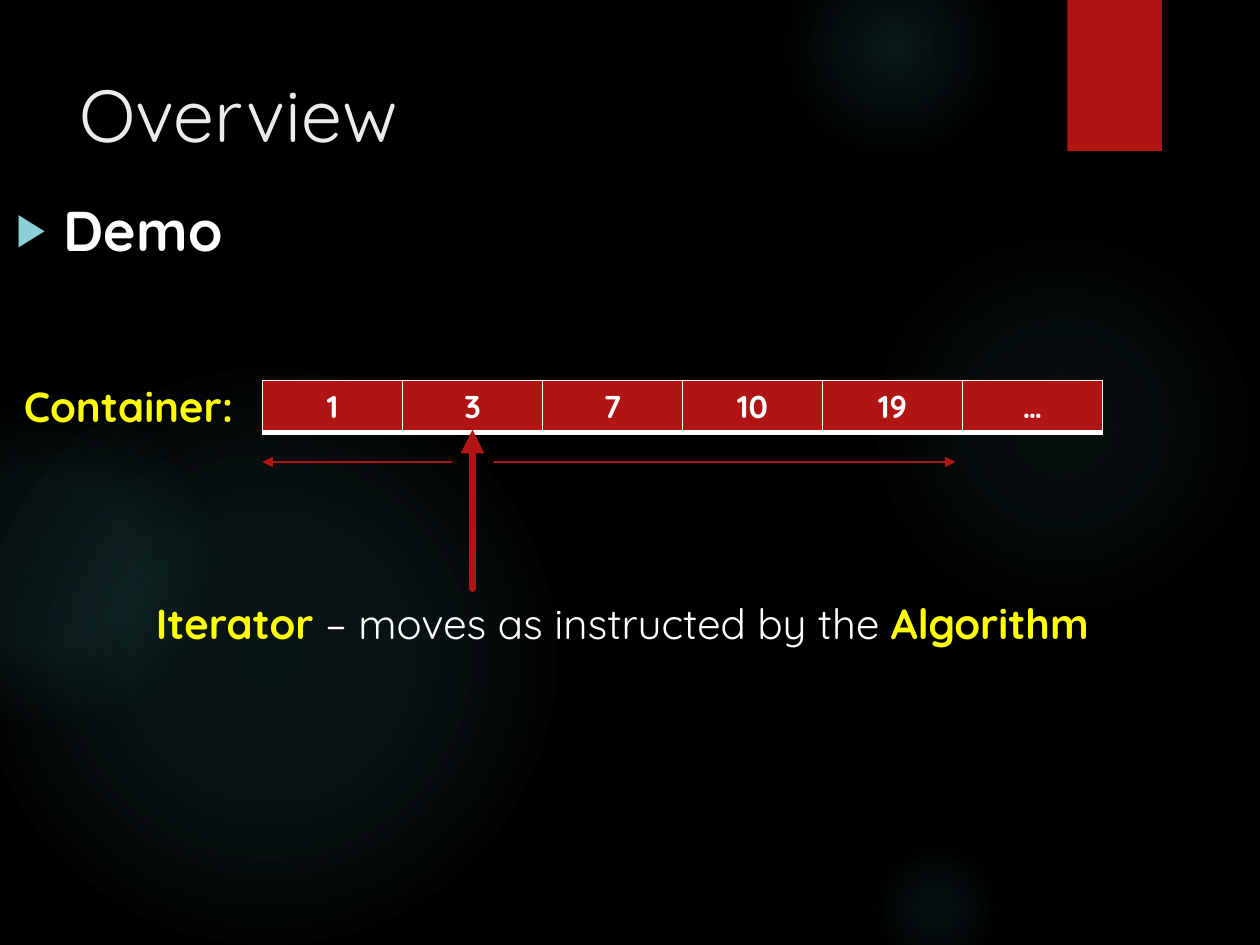
from pptx import Presentation
from pptx.dml.color import RGBColor
from pptx.enum.shapes import MSO_CONNECTOR, MSO_SHAPE
from pptx.enum.text import MSO_ANCHOR, MSO_AUTO_SIZE, PP_ALIGN
from pptx.oxml import parse_xml
from pptx.oxml.ns import nsdecls, qn
from pptx.util import Pt
from lxml.etree import SubElement

FONT = "Quicksand"
BLACK = RGBColor(0x00, 0x00, 0x00)
WHITE = RGBColor(0xFF, 0xFF, 0xFF)
PALE = RGBColor(0xEB, 0xEB, 0xEB)
RED = RGBColor(0xB0, 0x15, 0x13)
YELLOW = RGBColor(0xFF, 0xFF, 0x00)
TEAL = RGBColor(0x50, 0xB9, 0xC1)
BULLET = RGBColor(0x8A, 0xD0, 0xD6)


def style(r, size, color, bold=False):
    r.font.name = FONT
    r.font.size = Pt(size)
    r.font.bold = bold
    r.font.color.rgb = color


def add_label(left, top, width, parts):
    """Add a one-line text box from (text, color, bold) parts."""
    tf = s.shapes.add_textbox(Pt(left), Pt(top), Pt(width), Pt(36)).text_frame
    tf.word_wrap = False
    tf.auto_size = MSO_AUTO_SIZE.SHAPE_TO_FIT_TEXT
    for text, color, bold in parts:
        r = tf.paragraphs[0].add_run()
        r.text = text
        style(r, 24, color, bold)


prs = Presentation()
prs.slide_width, prs.slide_height = Pt(720), Pt(540)
s = prs.slides.add_slide(prs.slide_layouts[1])
s.background.fill.solid()
s.background.fill.fore_color.rgb = BLACK
title, body = s.placeholders

# Glows behind the text: left, top, diameter, (position %, opacity %) stops
glows = [
    (496, 132, 222, [(0, 7), (36, 6), (69, 0)]),
    (448, -36, 126, [(0, 14), (36, 7), (73, 0)]),
    (496, 480, 78, [(0, 9), (36, 5), (66, 0)]),
    (-12, 210, 330, [(0, 11), (36, 10), (75, 0)]),
    (-66, 228, 186, [(0, 8), (36, 8), (72, 0)]),
]
for left, top, size, stops in glows:
    glow = s.shapes.add_shape(MSO_SHAPE.OVAL, Pt(left), Pt(top), Pt(size), Pt(size))
    glow.shadow.inherit = False
    glow.line.fill.background()
    glow.fill.background()
    gs = "".join(
        f'<a:gs pos="{pos * 1000}"><a:srgbClr val="{TEAL}">'
        f'<a:alpha val="{alpha * 1000}"/></a:srgbClr></a:gs>'
        for pos, alpha in stops)
    grad = parse_xml(
        f'<a:gradFill {nsdecls("a")} rotWithShape="1"><a:gsLst>{gs}</a:gsLst>'
        '<a:path path="circle"><a:fillToRect l="50000" t="50000" r="50000" b="50000"/>'
        '</a:path></a:gradFill>')
    spPr = glow.element.spPr
    spPr.replace(spPr.find(qn("a:noFill")), grad)
    title.element.addprevious(glow.element)

ribbon = s.shapes.add_shape(MSO_SHAPE.RECTANGLE, Pt(610), Pt(0), Pt(54), Pt(86.4))
ribbon.shadow.inherit = False
ribbon.line.fill.background()
ribbon.fill.solid()
ribbon.fill.fore_color.rgb = RED
title.element.addprevious(ribbon.element)

# Title and list
title.left, title.top, title.width, title.height = Pt(38), Pt(36), Pt(556), Pt(110)
body.left, body.top, body.width, body.height = Pt(2), Pt(108), Pt(718), Pt(390)
for ph, text, size, color, bold in [(title, "Overview", 42, PALE, False),
                                    (body, "Demo", 32, WHITE, True)]:
    tf = ph.text_frame
    tf.text = text
    tf.vertical_anchor = MSO_ANCHOR.TOP
    tf.auto_size = MSO_AUTO_SIZE.NONE
    p = tf.paragraphs[0]
    p.alignment = PP_ALIGN.LEFT
    p.space_before = Pt(0)
    style(p.runs[0], size, color, bold)

pPr = body.text_frame.paragraphs[0].runs[0]._r.getparent().get_or_add_pPr()
pPr.set("marL", str(Pt(27)))
pPr.set("indent", str(Pt(-27)))
SubElement(SubElement(pPr, qn("a:buClr")), qn("a:srgbClr"), val=str(BULLET))
SubElement(pPr, qn("a:buSzPct"), val="80000")
SubElement(pPr, qn("a:buFont"), typeface="Arial")
SubElement(pPr, qn("a:buChar"), char="▶")

# Container drawn as a one-row table
values = ["1", "3", "7", "10", "19", "…"]
cell_width = 80
table = s.shapes.add_table(1, len(values), Pt(150), Pt(217.5),
                           Pt(cell_width * len(values)), Pt(29.5)).table
for i, value in enumerate(values):
    table.columns[i].width = Pt(cell_width)
    cell = table.cell(0, i)
    cell.text = value
    cell.vertical_anchor = MSO_ANCHOR.TOP
    p = cell.text_frame.paragraphs[0]
    p.alignment = PP_ALIGN.CENTER
    style(p.runs[0], 18, WHITE, True)
    tcPr = cell._tc.get_or_add_tcPr()
    for side, width in [("L", 1), ("R", 1), ("T", 1), ("B", 3)]:
        ln = SubElement(tcPr, qn(f"a:ln{side}"), w=str(Pt(width)))
        SubElement(SubElement(ln, qn("a:solidFill")), qn("a:srgbClr"), val=str(WHITE))
    cell.fill.solid()
    cell.fill.fore_color.rgb = RED

add_label(6.5, 214, 137.5, [("Container:", YELLOW, True)])

# Iterator pointer and its two directions of travel
for x1, y1, x2, y2, width in [(270, 336, 270, 245.5, 4.5),
                              (258, 264, 150, 264, 0.75),
                              (282, 264, 546, 264, 0.75)]:
    arrow = s.shapes.add_connector(MSO_CONNECTOR.STRAIGHT, Pt(x1), Pt(y1), Pt(x2), Pt(y2))
    arrow.line.width = Pt(width)
    arrow.line.color.rgb = RED
    ln = arrow.line._get_or_add_ln()
    ln.set("cap", "rnd")
    SubElement(ln, qn("a:tailEnd"), type="triangle")
    SubElement(arrow.element.spPr, qn("a:effectLst"))

add_label(82, 338, 558, [("Iterator ", YELLOW, True),
                         ("– moves as instructed by the ", WHITE, False),
                         ("Algorithm", YELLOW, True)])

prs.save("out.pptx")
